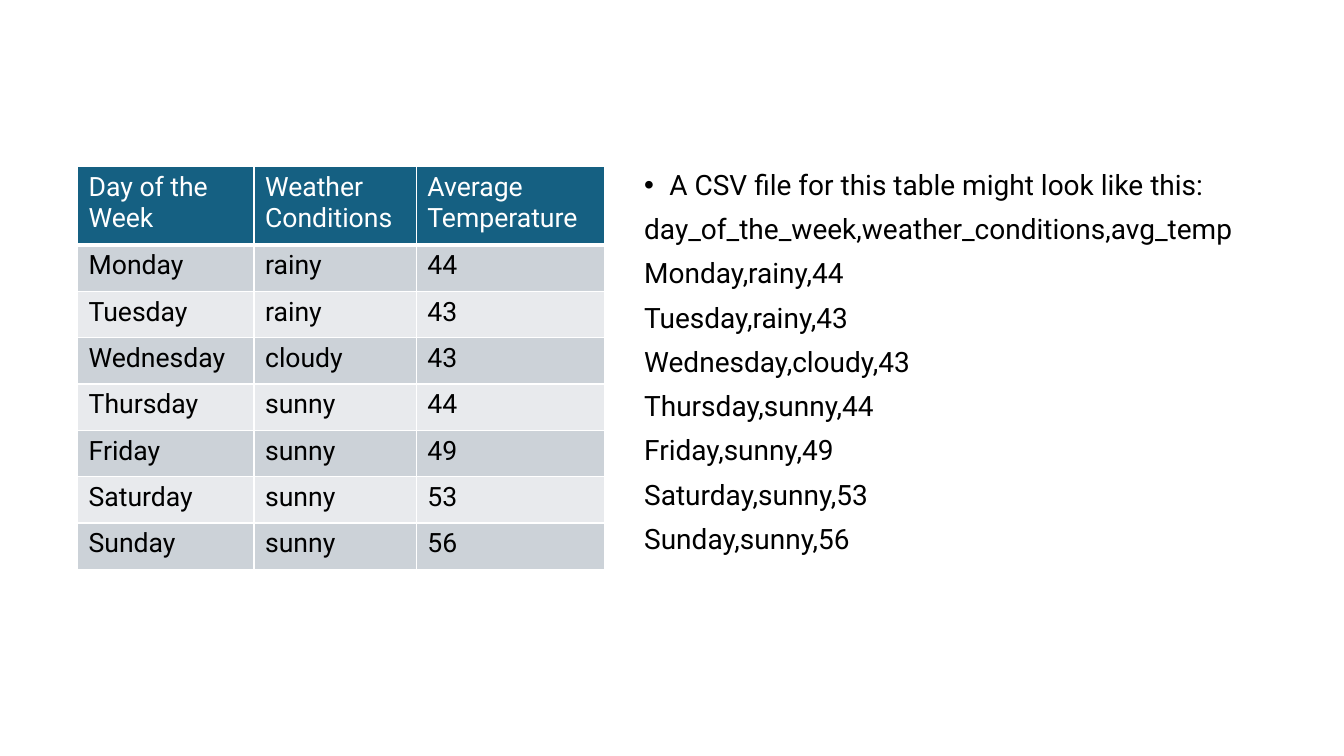
from dataclasses import dataclass

import lxml.etree
import pptx
import pptx.dml.color
import pptx.oxml.ns
import pptx.slide
import pptx.table
import pptx.text.text
import pptx.util

Inches = pptx.util.Inches
Pt = pptx.util.Pt
qn = pptx.oxml.ns.qn


@dataclass(frozen=True)
class Theme:
    font: str = "Roboto"
    ink: str = "000000"
    paper: str = "FFFFFF"
    header: str = "156082"
    bands: tuple[str, str] = ("CCD2D8", "E8EAED")
    table_size: float = 19
    csv_size: float = 20
    rule: float = 1
    header_rule: float = 3


@dataclass(frozen=True)
class Day:
    name: str
    weather: str
    temperature: int

    def values(self) -> tuple[str, str, str]:
        return self.name, self.weather, str(self.temperature)


THEME = Theme()
HEADINGS = ("Day of the Week", "Weather Conditions", "Average Temperature")
WEEK = (
    Day("Monday", "rainy", 44),
    Day("Tuesday", "rainy", 43),
    Day("Wednesday", "cloudy", 43),
    Day("Thursday", "sunny", 44),
    Day("Friday", "sunny", 49),
    Day("Saturday", "sunny", 53),
    Day("Sunday", "sunny", 56),
)
CSV_INTRO = "A CSV file for this table might look like this:"
CSV_HEADER = "day_of_the_week,weather_conditions,avg_temp"
COLUMN_WIDTHS = (1.75, 1.61, 1.87)
HEADER_HEIGHT, DAY_HEIGHT = 0.78, 0.46
TOP = 1.65


def rgb(color: str) -> pptx.dml.color.RGBColor:
    return pptx.dml.color.RGBColor.from_string(color)


def style_text(paragraph: pptx.text.text._Paragraph, size: float, color: str) -> None:
    for run in paragraph.runs:
        run.font.name = THEME.font
        run.font.size = Pt(size)
        run.font.color.rgb = rgb(color)


def add_borders(cell: pptx.table._Cell, bottom: float) -> None:
    # Border lines must precede the fill in the cell properties
    properties = cell._tc.get_or_add_tcPr()
    widths = {"a:lnL": THEME.rule, "a:lnR": THEME.rule, "a:lnT": THEME.rule, "a:lnB": bottom}
    for position, (side, width) in enumerate(widths.items()):
        line = lxml.etree.Element(qn(side), w=str(Pt(width)))
        fill = lxml.etree.SubElement(line, qn("a:solidFill"))
        lxml.etree.SubElement(fill, qn("a:srgbClr"), val=THEME.paper)
        properties.insert(position, line)


def fill_row(table: pptx.table.Table, row: int, values: tuple[str, ...]) -> None:
    is_header = row == 0
    for column, value in enumerate(values):
        cell = table.cell(row, column)
        cell.text_frame.text = value
        cell.margin_left = cell.margin_right = Inches(0.11)
        cell.margin_top = cell.margin_bottom = Inches(0.05)
        cell.fill.solid()
        cell.fill.fore_color.rgb = rgb(THEME.header if is_header else THEME.bands[(row - 1) % 2])
        style_text(cell.text_frame.paragraphs[0], THEME.table_size,
                   THEME.paper if is_header else THEME.ink)
        add_borders(cell, THEME.header_rule if is_header else THEME.rule)


def add_weather_table(slide: pptx.slide.Slide) -> None:
    rows = (HEADINGS, *(day.values() for day in WEEK))
    height = HEADER_HEIGHT + DAY_HEIGHT * len(WEEK)
    table = slide.shapes.add_table(
        len(rows), len(HEADINGS), Inches(0.77), Inches(TOP),
        Inches(sum(COLUMN_WIDTHS)), Inches(height)).table
    for column, width in zip(table.columns, COLUMN_WIDTHS):
        column.width = Inches(width)
    for index, values in enumerate(rows):
        table.rows[index].height = Inches(DAY_HEIGHT if index else HEADER_HEIGHT)
        fill_row(table, index, values)


def add_bullet(paragraph: pptx.text.text._Paragraph) -> None:
    properties = paragraph._p.get_or_add_pPr()
    properties.set("marL", str(Inches(0.25)))
    properties.set("indent", str(-Inches(0.25)))
    lxml.etree.SubElement(properties, qn("a:buFont"), typeface="Arial")
    lxml.etree.SubElement(properties, qn("a:buChar"), char="•")


def add_csv_text(slide: pptx.slide.Slide) -> None:
    csv_text = slide.shapes.add_textbox(
        Inches(6.29), Inches(TOP), Inches(7.22), Inches(5.52)).text_frame
    csv_text.word_wrap = True
    lines = (CSV_INTRO, CSV_HEADER, *(",".join(day.values()) for day in WEEK))
    csv_text.text = "\n".join(lines)
    for paragraph in csv_text.paragraphs:
        paragraph.line_spacing = 0.9
        paragraph.space_before = Pt(10)
        style_text(paragraph, THEME.csv_size, THEME.ink)
    add_bullet(csv_text.paragraphs[0])


def main() -> None:
    presentation = pptx.Presentation()
    presentation.slide_width = Inches(13.33)
    presentation.slide_height = Inches(7.5)
    slide = presentation.slides.add_slide(presentation.slide_layouts[6])

    # CSV version on the right, table on the left
    add_csv_text(slide)
    add_weather_table(slide)
    presentation.save("out.pptx")


if __name__ == "__main__":
    main()
